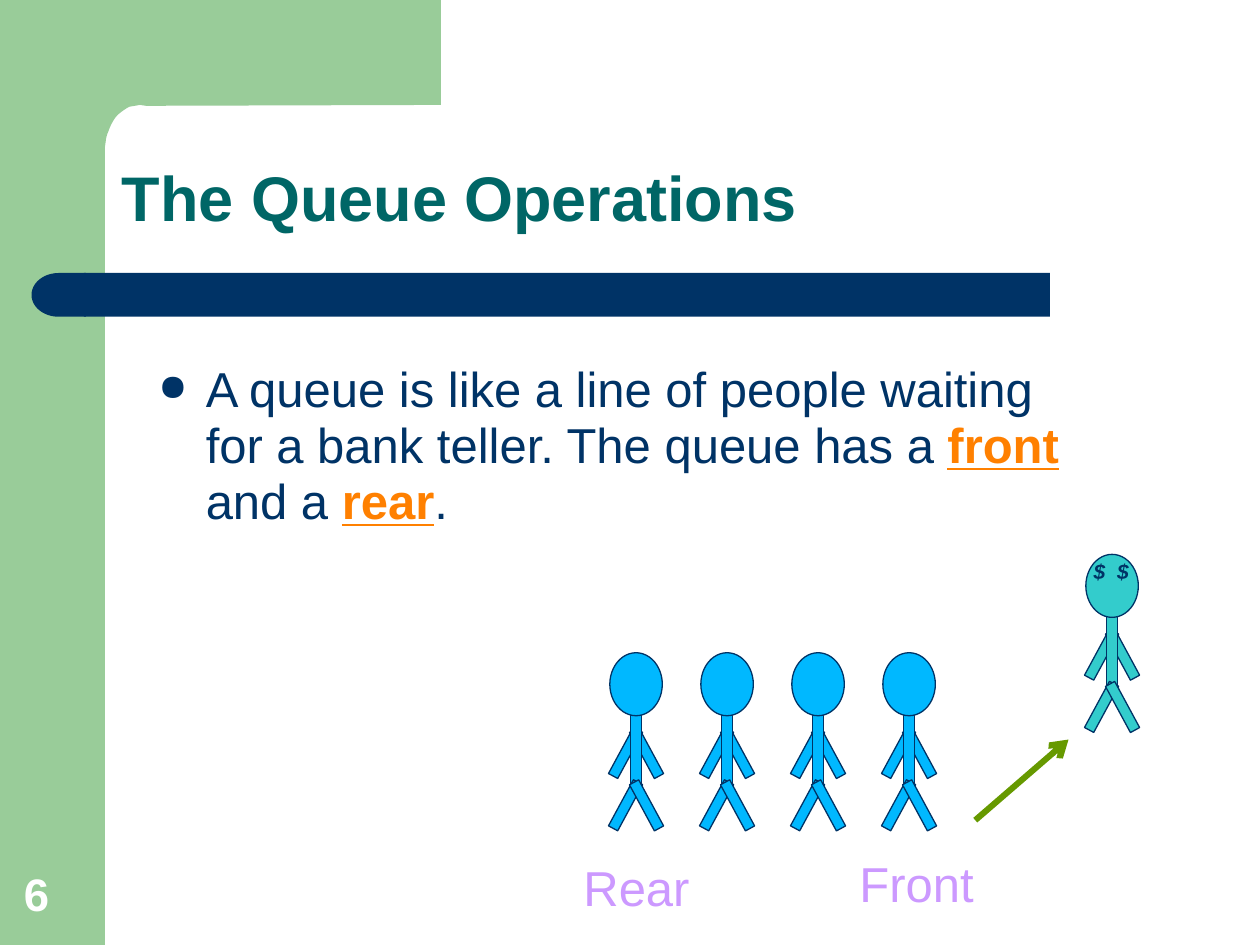
from lxml.etree import SubElement
from pptx import Presentation
from pptx.dml.color import RGBColor
from pptx.enum.shapes import MSO_CONNECTOR, MSO_SHAPE
from pptx.enum.text import MSO_ANCHOR, PP_ALIGN
from pptx.oxml.ns import qn
from pptx.util import Pt

COLORS = {
    "band": "99CC99", "navy": "003366", "title": "006666", "accent": "FF8000",
    "customer": "00B8FF", "teller": "33CCCC", "label": "CC99FF",
    "arrow": "669900", "white": "FFFFFF",
}

TITLE = "The Queue Operations"
EMPHASIS = {"color": "accent", "bold": True, "underline": True}
BODY_RUNS = [
    ("A queue is like a line of people waiting for a bank teller. The queue has a ", {}),
    ("front", EMPHASIS),
    (" and a ", {}),
    ("rear", EMPHASIS),
    (".", {}),
]
LABELS = [("Front", (483.8, 486.7, 80, 38.6)), ("Rear", (326.2, 488.9, 75, 38.6))]
PAGE_NUMBER = "6"

CUSTOMER_COUNT = 4
FIRST_CUSTOMER = (348.5, 373)
CUSTOMER_PITCH = 52
TELLER = (620.5, 316.8)
LIMB_ANGLE = 28.4
PERSON_PARTS = [
    (MSO_SHAPE.RECTANGLE, (6, 42.3, 6, 30), LIMB_ANGLE),
    (MSO_SHAPE.RECTANGLE, (18, 42.3, 6, 30), -LIMB_ANGLE),
    (MSO_SHAPE.RECTANGLE, (12, 30, 6, 48), 0),
    (MSO_SHAPE.OVAL, (0, 0, 30, 36), 0),
    (MSO_SHAPE.RECTANGLE, (6, 72.2, 6, 30), LIMB_ANGLE),
    (MSO_SHAPE.RECTANGLE, (18, 72.2, 6, 30), -LIMB_ANGLE),
]

CORNER_START = [(252, 0), (252, 60), (83.5, 60.5), (80, 60)]
CORNER_CURVES = [
    [(74, 61), (72, 62), (69, 64), (67, 66)],
    [(67, 66), (65, 68), (63, 72), (62, 75)],
    [(62, 75), (60.5, 78), (60.5, 81), (60, 84)],
]
CORNER_END = [(60, 92), (36, 92), (36, 0)]
CURVE_STEPS = 6
UNITS_PER_POINT = 100


def color(name):
    return RGBColor.from_string(COLORS[name])


def curve_points(curve):
    for step in range(CURVE_STEPS + 1):
        t = step / CURVE_STEPS
        weights = ((1 - t) ** 3, 3 * t * (1 - t) ** 2, 3 * t * t * (1 - t), t ** 3)
        yield tuple(sum(w * point[axis] for w, point in zip(weights, curve)) for axis in (0, 1))


def paint(shape, fill, outline=None):
    shape.shadow.inherit = False
    shape.fill.solid()
    shape.fill.fore_color.rgb = color(fill)
    if outline:
        shape.line.color.rgb = color(outline)
        shape.line.width = Pt(0.75)
    else:
        shape.line.fill.background()


def add_block(slide, kind, box, fill, outline=None, rotation=0):
    shape = slide.shapes.add_shape(kind, *map(Pt, box))
    shape.rotation = rotation
    paint(shape, fill, outline)
    return shape


def add_corner(slide):
    points = CORNER_START + [p for c in CORNER_CURVES for p in curve_points(c)] + CORNER_END
    scaled = [(x * UNITS_PER_POINT, y * UNITS_PER_POINT) for x, y in points]
    builder = slide.shapes.build_freeform(*scaled[0], scale=Pt(1) / UNITS_PER_POINT)
    builder.add_line_segments(scaled[1:], close=True)
    paint(builder.convert_to_shape(), "band")


def add_person(slide, origin, fill):
    for kind, (left, top, width, height), rotation in PERSON_PARTS:
        box = (origin[0] + left, origin[1] + top, width, height)
        add_block(slide, kind, box, fill, "navy", rotation)


def add_bullet(paragraph):
    properties = paragraph._p.get_or_add_pPr()
    properties.set("marL", str(Pt(27)))
    properties.set("indent", str(-Pt(27)))
    bullet_color = SubElement(properties, qn("a:buClr"))
    SubElement(bullet_color, qn("a:srgbClr"), val=COLORS["navy"])
    SubElement(properties, qn("a:buSzPct"), val="75000")
    SubElement(properties, qn("a:buChar"), char="●")


def add_text(slide, box, runs, base, anchor=MSO_ANCHOR.TOP, align=PP_ALIGN.LEFT,
             wrap=True, spacing=0.95, bullet=False):
    frame = slide.shapes.add_textbox(*map(Pt, box)).text_frame
    frame.word_wrap = wrap
    frame.vertical_anchor = anchor
    paragraph = frame.paragraphs[0]
    paragraph.alignment = align
    paragraph.line_spacing = spacing
    if bullet:
        add_bullet(paragraph)
    for text, changes in runs:
        run = paragraph.add_run()
        run.text = text
        for key, value in {"name": "Arial", **base, **changes}.items():
            if key == "color":
                run.font.color.rgb = color(value)
            else:
                setattr(run.font, key, value)
    return paragraph


def add_arrow(slide, start, end):
    arrow = slide.shapes.add_connector(MSO_CONNECTOR.STRAIGHT, *map(Pt, start + end))
    arrow.line.color.rgb = color("arrow")
    arrow.line.width = Pt(3.5)
    SubElement(arrow.line._get_or_add_ln(), qn("a:tailEnd"), type="arrow")
    SubElement(arrow._element.spPr, qn("a:effectLst"))


def main():
    presentation = Presentation()
    presentation.slide_width, presentation.slide_height = Pt(720), Pt(540)
    slide = presentation.slides.add_slide(presentation.slide_layouts[6])

    add_block(slide, MSO_SHAPE.RECTANGLE, (0, 0, 60, 540), "band")
    add_corner(slide)
    add_block(slide, MSO_SHAPE.RECTANGLE, (48, 156, 552, 25), "navy")
    add_block(slide, MSO_SHAPE.FLOWCHART_DELAY, (18, 156, 31, 25), "navy", rotation=180)

    add_text(slide, (62.6, 60, 600, 78.5), [(TITLE, {})],
             {"size": Pt(36), "color": "title", "bold": True}, MSO_ANCHOR.BOTTOM)
    add_text(slide, (83.5, 204, 535, 144), BODY_RUNS,
             {"size": Pt(28), "color": "navy"}, bullet=True)

    for index in range(CUSTOMER_COUNT):
        left, top = FIRST_CUSTOMER
        add_person(slide, (left + index * CUSTOMER_PITCH, top), "customer")
    add_person(slide, TELLER, "teller")
    eyes = add_text(slide, (617, 316.8, 36, 36), [("$ $", {})],
                    {"size": Pt(12), "color": "navy", "bold": True, "italic": True},
                    align=PP_ALIGN.CENTER)
    eyes.runs[0]._r.get_or_add_rPr().set("spc", "170")

    for text, box in LABELS:
        add_text(slide, box, [(text, {})], {"size": Pt(28), "color": "label"},
                 align=PP_ALIGN.CENTER, wrap=False)
    add_arrow(slide, (557.3, 468.7), (610.6, 422.6))
    add_text(slide, (6.5, 491.8, 46, 38), [(PAGE_NUMBER, {})],
             {"size": Pt(26), "color": "white", "bold": True}, MSO_ANCHOR.BOTTOM, spacing=1.0)

    presentation.save("out.pptx")


if __name__ == "__main__":
    main()
